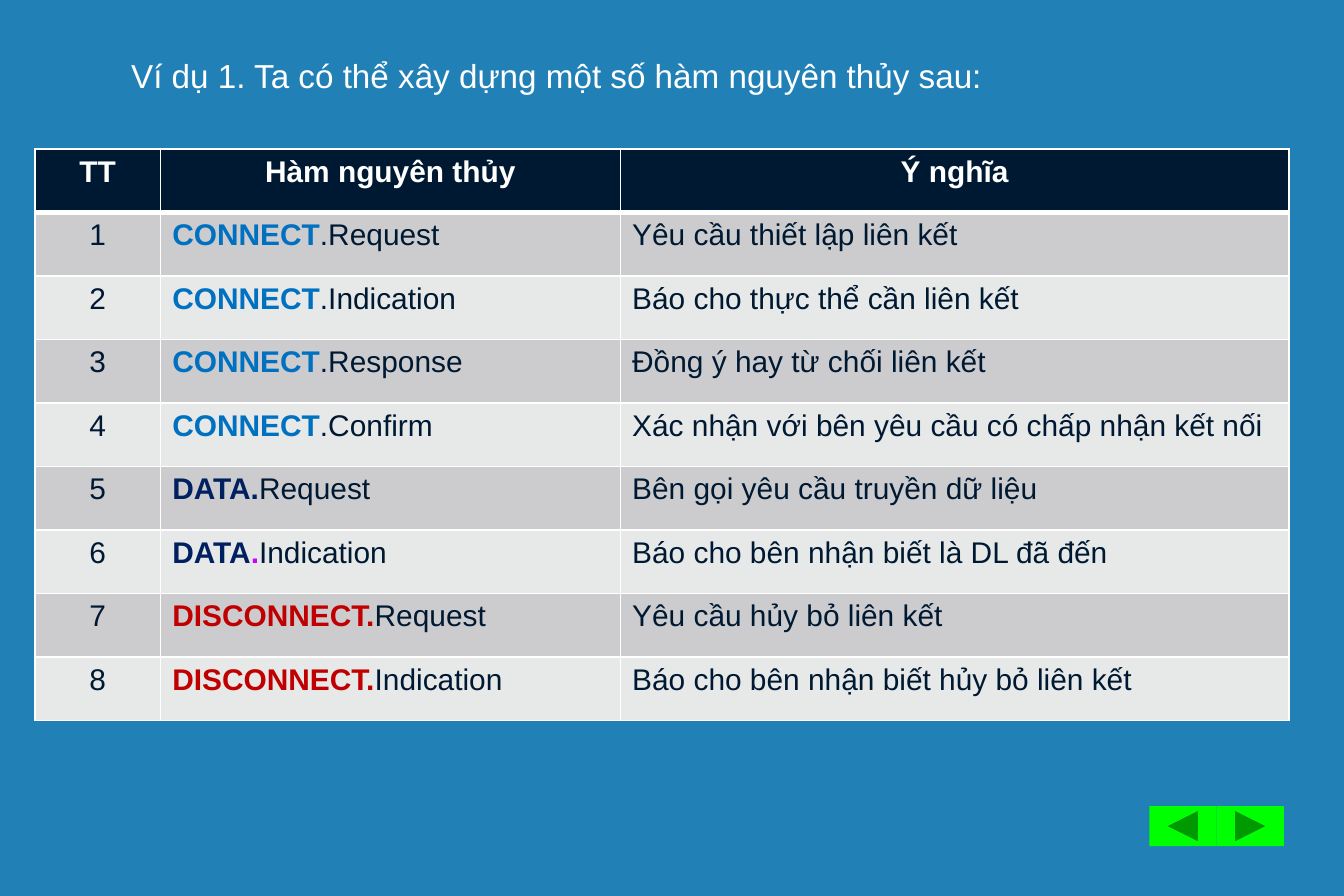
import pptx
import pptx.util
import pptx.dml.color
import pptx.enum.shapes
import pptx.enum.text
import pptx.oxml
import pptx.oxml.ns

Cm = pptx.util.Cm
Pt = pptx.util.Pt
Align = pptx.enum.text.PP_ALIGN
Shape = pptx.enum.shapes.MSO_SHAPE

COLORS = {
    "back": "2181B7", "white": "FFFFFF", "navy": "001932",
    "dark": "CCCCCE", "light": "E7E8E8", "green": "00FF00",
    "blue": "0070C0", "deep": "002060", "pink": "CC00FF", "red": "C00000",
}
HEADS = ["TT", "Hàm nguyên thủy", "Ý nghĩa"]
CALLS = [
    ([("CONNECT", "blue")], ".Request", "Yêu cầu thiết lập liên kết"),
    ([("CONNECT", "blue")], ".Indication", "Báo cho thực thể cần liên kết"),
    ([("CONNECT", "blue")], ".Response", "Đồng ý hay từ chối liên kết"),
    ([("CONNECT", "blue")], ".Confirm", "Xác nhận với bên yêu cầu có chấp nhận kết nối"),
    ([("DATA.", "deep")], "Request", "Bên gọi yêu cầu truyền dữ liệu"),
    ([("DATA", "deep"), (".", "pink")], "Indication", "Báo cho bên nhận biết là DL đã đến"),
    ([("DISCONNECT.", "red")], "Request", "Yêu cầu hủy bỏ liên kết"),
    ([("DISCONNECT.", "red")], "Indication", "Báo cho bên nhận biết hủy bỏ liên kết"),
]


class Deck:
    """Holds the style and the current slide, and draws each kind of element."""

    def __init__(self):
        self.file = pptx.Presentation()
        self.file.slide_width = Cm(28.58)
        self.file.slide_height = Cm(19.05)
        self.slide = self.file.slides.add_slide(self.file.slide_layouts[6])
        self.paint(self.slide.background.fill, "back")

    def paint(self, fill, color):
        fill.solid()
        fill.fore_color.rgb = pptx.dml.color.RGBColor.from_string(COLORS[color])

    def style(self, font, size, color, bold=False):
        font.name = "Arial"
        font.size = Pt(size)
        font.bold = bold
        self.paint(font.fill, color)

    def button(self, kind, left, top, width, height):
        shape = self.slide.shapes.add_shape(kind, Cm(left), Cm(top), Cm(width), Cm(height))
        shape.shadow.inherit = False
        self.paint(shape.fill, "green")
        shape.line.fill.background()

    def title(self, text, left, top, width, height):
        box = self.slide.shapes.add_textbox(Cm(left), Cm(top), Cm(width), Cm(height))
        frame = box.text_frame
        frame.word_wrap = True
        frame.auto_size = pptx.enum.text.MSO_AUTO_SIZE.SHAPE_TO_FIT_TEXT
        frame.vertical_anchor = pptx.enum.text.MSO_ANCHOR.MIDDLE
        para = frame.paragraphs[0]
        para.text = text
        para.alignment = Align.JUSTIFY
        self.style(para.font, 20, "white")

    def border(self, cell, low):
        props = cell._tc.get_or_add_tcPr()
        for side, width in (("L", 1), ("R", 1), ("T", 1), ("B", low)):
            props.append(pptx.oxml.parse_xml(
                f'<a:ln{side} {pptx.oxml.ns.nsdecls("a")} w="{Pt(width)}"><a:solidFill>'
                f'<a:srgbClr val="{COLORS["white"]}"/></a:solidFill></a:ln{side}>'))

    def cell(self, cell, parts, align, fill, color="navy", bold=False, low=1):
        self.border(cell, low)
        self.paint(cell.fill, fill)
        para = cell.text_frame.paragraphs[0]
        para.alignment = align
        para.space_before = para.space_after = Pt(3)
        self.style(para.font, 18, color, bold)
        for text, tint in parts:
            run = para.add_run()
            run.text = text
            if tint:
                self.style(run.font, 18, tint, True)

    def table(self, left, top, widths, height):
        count = len(CALLS) + 1
        grid = self.slide.shapes.add_table(
            count, len(widths), Cm(left), Cm(top), Cm(sum(widths)), Cm(height * count)).table
        for col, width in zip(grid.columns, widths):
            col.width = Cm(width)
        for row in grid.rows:
            row.height = Cm(height)
        for col, head in enumerate(HEADS):
            self.cell(grid.cell(0, col), [(head, None)], Align.CENTER, "navy", "white", True, 3)
        for row, (marks, verb, sense) in enumerate(CALLS, 1):
            fill = "dark" if row % 2 else "light"
            self.cell(grid.cell(row, 0), [(str(row), None)], Align.CENTER, fill)
            self.cell(grid.cell(row, 1), marks + [(verb, None)], Align.LEFT, fill)
            self.cell(grid.cell(row, 2), [(sense, None)], Align.LEFT, fill)


def main():
    deck = Deck()
    deck.button(Shape.ACTION_BUTTON_FORWARD_OR_NEXT, 25.87, 17.14, 1.43, 0.85)
    deck.button(Shape.ACTION_BUTTON_BACK_OR_PREVIOUS, 24.44, 17.14, 1.43, 0.85)
    deck.title("Ví dụ 1. Ta có thể xây dựng một số hàm nguyên thủy sau:", 2.54, 1.04, 23.82, 1.11)
    deck.table(0.74, 3.17, [2.67, 9.78, 14.22], 1.35)
    deck.file.save("out.pptx")


if __name__ == "__main__":
    main()
